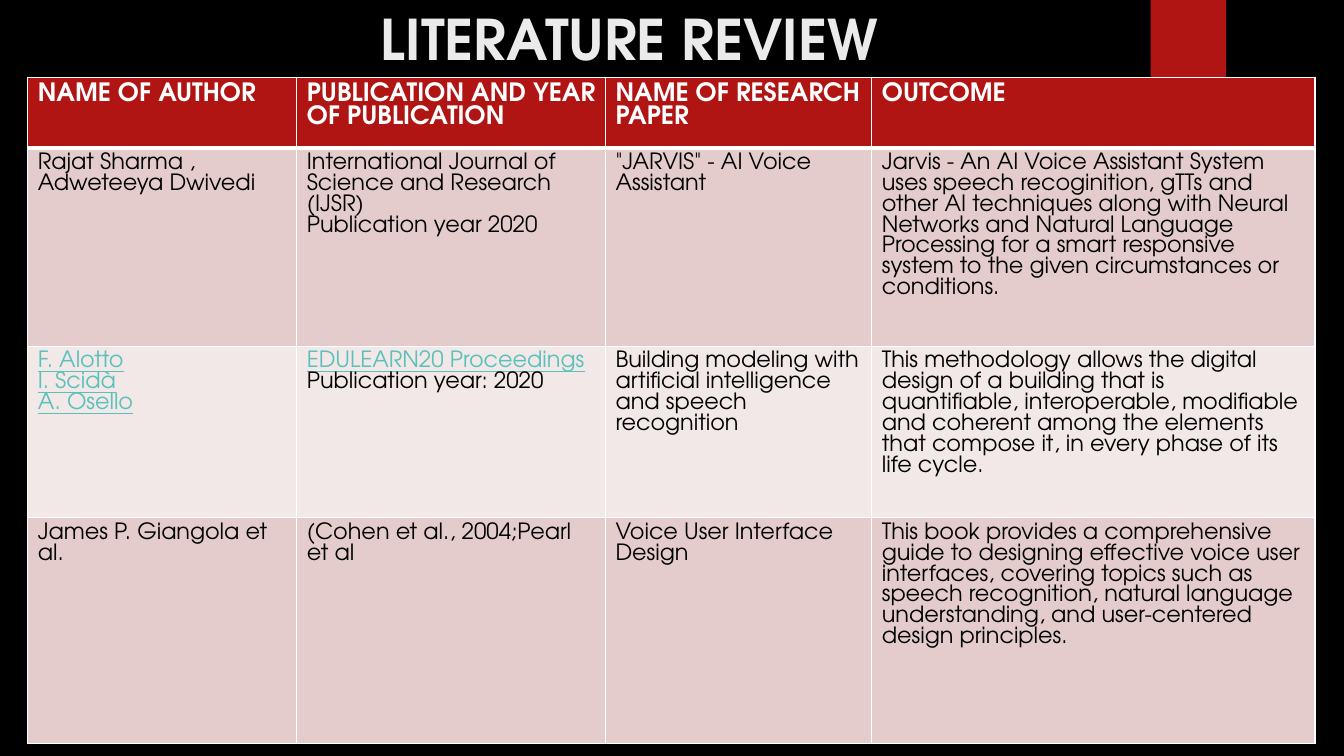
import pptx
import pptx.util
import pptx.dml.color
import pptx.enum.shapes
import pptx.oxml
import pptx.oxml.ns
from pptx.util import Cm

FONT = "TeX Gyre Adventor"
COLORS = {
    "back": "000000", "red": "B01513", "title": "EBEBEB", "white": "FFFFFF",
    "text": "000000", "link": "58C1BA", "dark": "E4CCCC", "light": "F2E8E7",
}
TITLE = {"size": 40, "bold": True, "color": "title"}
HEAD = {"size": 18, "bold": True, "color": "white"}
BODY = {"size": 16, "bold": False, "color": "text"}
LINK = {**BODY, "color": "link", "underline": True}

WIDTHS = [6.78, 7.78, 6.71, 11.17]
HEIGHTS = [1.78, 5.0, 4.32, 5.69]
# Each cell is a list of paragraphs
ROWS = [
    [["NAME OF AUTHOR"], ["PUBLICATION AND YEAR OF PUBLICATION"],
     ["NAME OF RESEARCH PAPER"], ["OUTCOME"]],
    [["Rajat Sharma , Adweteeya Dwivedi"],
     ["International Journal of Science and Research (IJSR)",
      "Publication year 2020"],
     ['"JARVIS" - AI Voice Assistant'],
     ["Jarvis - An AI Voice Assistant System uses speech recoginition, gTTs "
      "and other AI techniques along with Neural Networks and Natural "
      "Language Processing for a smart responsive system to the given "
      "circumstances or conditions."]],
    [["F. Alotto", "I. Scidà", "A. Osello"],
     ["EDULEARN20 Proceedings", "Publication year: 2020"],
     ["Building modeling with artificial intelligence and speech recognition"],
     ["This methodology allows the digital design of a building that is "
      "quantifiable, interoperable, modifiable and coherent among the "
      "elements that compose it, in every phase of its life cycle."]],
    [["James P. Giangola et al."],
     ["(Cohen et al., 2004;Pearl et al"],
     ["Voice User Interface Design"],
     ["This book provides a comprehensive guide to designing effective voice "
      "user interfaces, covering topics such as speech recognition, natural "
      "language understanding, and user-centered design principles."]],
]
LINKS = {"F. Alotto", "I. Scidà", "A. Osello", "EDULEARN20 Proceedings"}


def rgb(name):
    return pptx.dml.color.RGBColor.from_string(COLORS[name])


def write(frame, lines, style):
    """Fill a text frame with one paragraph per line; links get LINK."""
    for i, line in enumerate(lines):
        para = frame.paragraphs[0] if i == 0 else frame.add_paragraph()
        run = para.add_run()
        run.text = line
        run.font.name = FONT
        for key, val in (LINK if line in LINKS else style).items():
            if key == "color":
                run.font.color.rgb = rgb(val)
            else:
                setattr(run.font, key, pptx.util.Pt(val) if key == "size" else val)


deck = pptx.Presentation()
deck.slide_width, deck.slide_height = Cm(33.87), Cm(19.05)
slide = deck.slides.add_slide(deck.slide_layouts[6])
slide.background.fill.solid()
slide.background.fill.fore_color.rgb = rgb("back")

# Red tab at the top
tab = slide.shapes.add_shape(
    pptx.enum.shapes.MSO_SHAPE.RECTANGLE, Cm(29), 0, Cm(1.9), Cm(3.18))
tab.shadow.inherit = False
tab.fill.solid()
tab.fill.fore_color.rgb = rgb("red")
tab.line.fill.background()

# Title
title = slide.shapes.add_textbox(Cm(9.35), 0, Cm(17.2), Cm(1.96))
title.text_frame.word_wrap = True
write(title.text_frame, ["LITERATURE REVIEW"], TITLE)

# Review table
table = slide.shapes.add_table(
    len(ROWS), len(WIDTHS), Cm(0.7), Cm(1.95),
    Cm(sum(WIDTHS)), Cm(sum(HEIGHTS))).table
for col, width in zip(table.columns, WIDTHS):
    col.width = Cm(width)
for row, height in zip(table.rows, HEIGHTS):
    row.height = Cm(height)

for r, row in enumerate(ROWS):
    for c, lines in enumerate(row):
        cell = table.cell(r, c)
        if r == 0:
            cell.margin_right = Cm(0.15)
        props = cell._tc.get_or_add_tcPr()
        for side in "LRTB":
            thick = 3 if (r, side) in {(0, "B"), (1, "T")} else 1
            props.append(pptx.oxml.parse_xml(
                f'<a:ln{side} {pptx.oxml.ns.nsdecls("a")} w="{thick * 12700}">'
                f'<a:solidFill><a:srgbClr val="{COLORS["white"]}"/></a:solidFill>'
                f'</a:ln{side}>'))
        cell.fill.solid()
        cell.fill.fore_color.rgb = rgb(["red", "dark", "light", "dark"][r])
        write(cell.text_frame, lines, BODY if r else HEAD)

deck.save("out.pptx")
